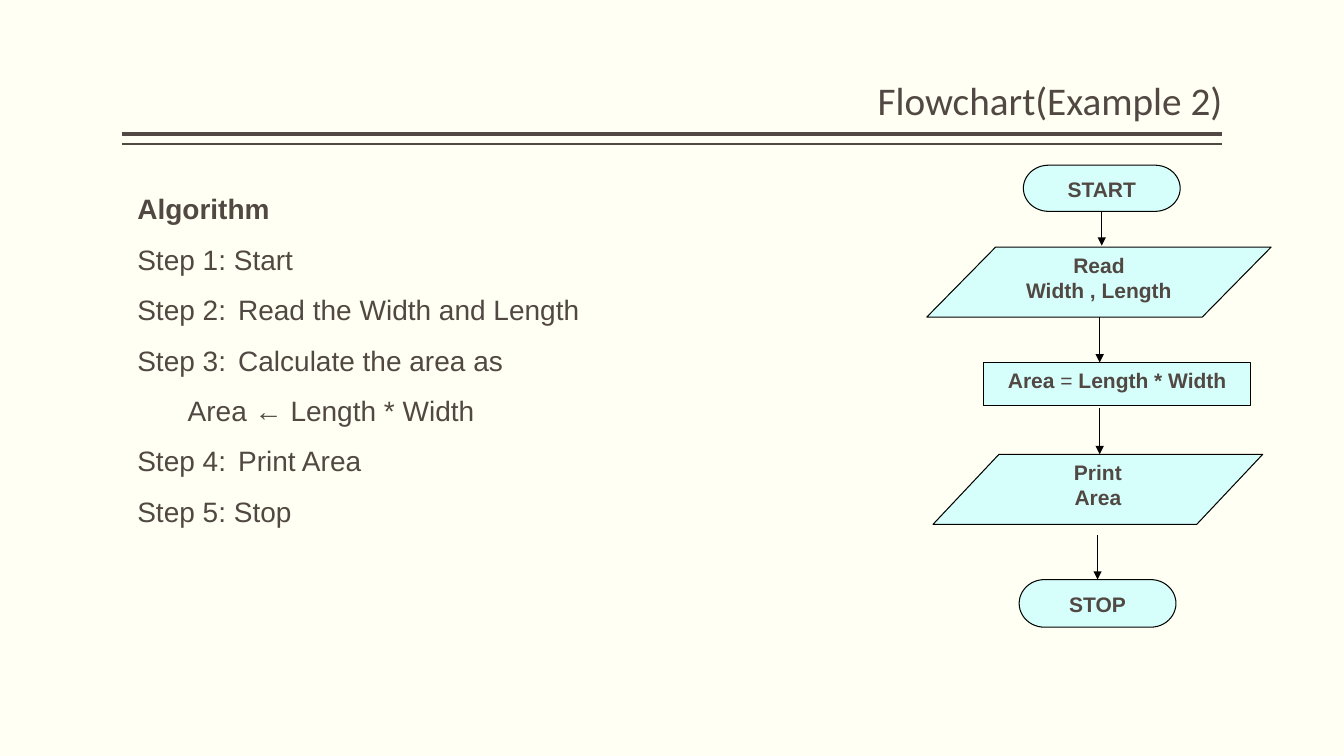
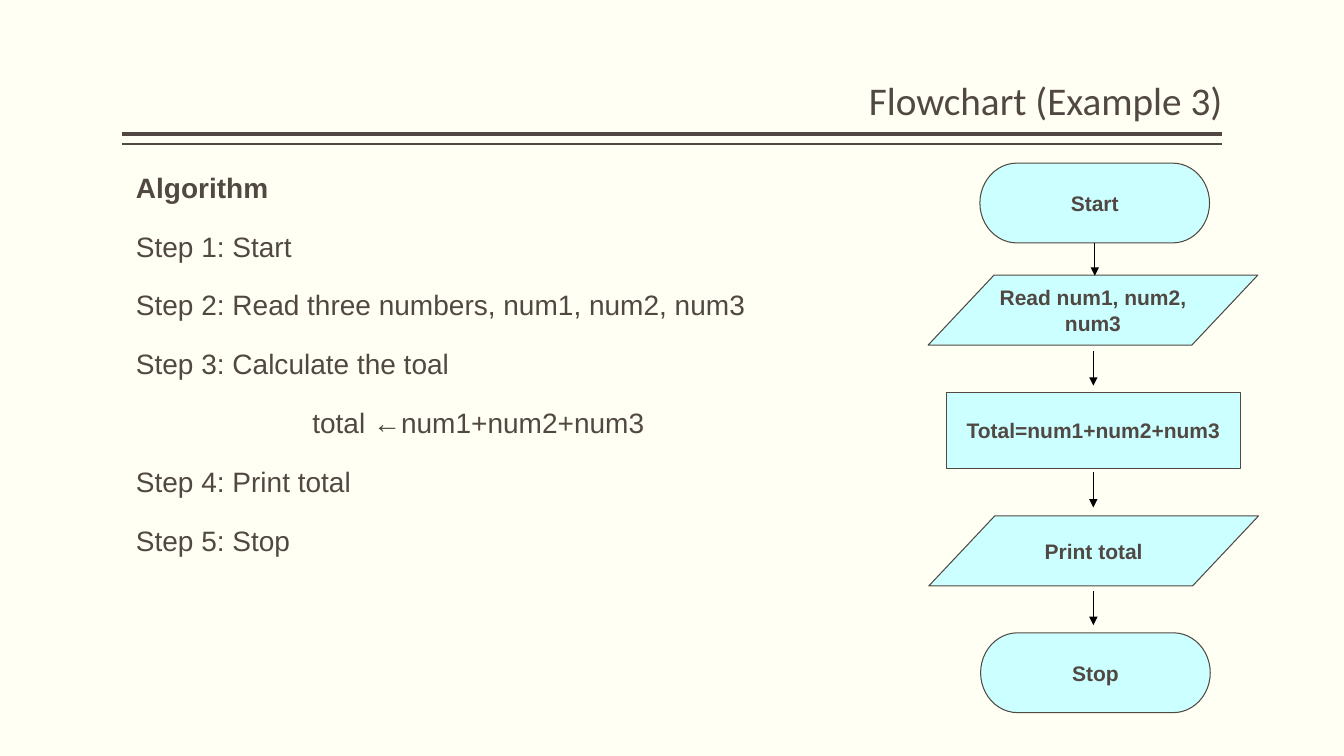
from dataclasses import dataclass
from typing import Optional

from lxml.etree import SubElement
from pptx import Presentation
from pptx.dml.color import RGBColor
from pptx.enum.shapes import MSO_CONNECTOR, MSO_SHAPE
from pptx.enum.text import MSO_ANCHOR, PP_ALIGN
from pptx.oxml.ns import qn
from pptx.util import Pt

COLORS = {"paper": "FFFFF3", "ink": "514843", "step": "CCFFFF", "black": "000000"}
BODY_FONT, TITLE_FONT = "Arial", "Calibri"
HEADER_BOX = (87, 6, 786, 86)
RULES = ((90, 3), (97, 1))

TERMINATOR = MSO_SHAPE.FLOWCHART_TERMINATOR
DATA = MSO_SHAPE.FLOWCHART_DATA
PROCESS = MSO_SHAPE.FLOWCHART_PROCESS


@dataclass
class Step:
    """A flowchart step, placed relative to the flowchart's corner."""
    preset: int
    box: tuple
    lines: tuple


@dataclass
class Arrow:
    """A downward arrow, with the steps it is joined to, if any."""
    x: float
    top: float
    bottom: float
    source: Optional[int] = None
    target: Optional[int] = None


@dataclass
class FlowStyle:
    """The look of one flowchart."""
    outline: str
    anchor: int
    wrap: bool
    opacity: int = 100


def rgb(name):
    """Return the named colour."""
    return RGBColor.from_string(COLORS[name])


def add_run(paragraph, text, size, font=BODY_FONT, bold=False):
    """Append one formatted run."""
    run = paragraph.add_run()
    run.text = text
    run.font.size = Pt(size)
    run.font.name = font
    run.font.bold = bold
    run.font.color.rgb = rgb("ink")


def next_paragraph(frame, index):
    """Return the first paragraph of a frame, or a new one."""
    return frame.add_paragraph() if index else frame.paragraphs[0]


def add_line(slide, start, end, color, weight, arrow=False):
    """Draw a straight line without shadow."""
    line = slide.shapes.add_connector(
        MSO_CONNECTOR.STRAIGHT, *(Pt(value) for value in (*start, *end)))
    line.line.color.rgb = rgb(color)
    line.line.width = Pt(weight)
    if arrow:
        SubElement(line.line._get_or_add_ln(), qn("a:tailEnd"), type="triangle")
    SubElement(line._element.spPr, qn("a:effectLst"))
    return line


def add_header(slide, title, box):
    """Place the right-aligned title and the double rule below it."""
    left, top, width, height = box
    frame = slide.shapes.add_textbox(*(Pt(value) for value in box)).text_frame
    frame.word_wrap = True
    frame.vertical_anchor = MSO_ANCHOR.BOTTOM
    frame.margin_left = frame.margin_right = 0
    paragraph = frame.paragraphs[0]
    paragraph.alignment = PP_ALIGN.RIGHT
    paragraph.line_spacing = 0.9
    add_run(paragraph, title, 28, TITLE_FONT)
    for offset, weight in RULES:
        add_line(slide, (left, top + offset), (left + width, top + offset), "ink", weight)


def add_algorithm(slide, box, steps, line_spacing=1.0, gap=0, indents=None):
    """Write the algorithm heading and its steps."""
    frame = slide.shapes.add_textbox(*(Pt(value) for value in box)).text_frame
    frame.word_wrap = True
    for index, text in enumerate(("Algorithm", *steps)):
        paragraph = next_paragraph(frame, index)
        paragraph.line_spacing = line_spacing
        if index and gap:
            paragraph.space_before = Pt(gap)
        if indents and index in indents:
            paragraph._p.get_or_add_pPr().set("marL", str(Pt(indents[index])))
        add_run(paragraph, text, 20, bold=index == 0)


def add_step(slide, origin, step, style):
    """Draw one flowchart step with its centred label."""
    left, top, width, height = step.box
    shape = slide.shapes.add_shape(
        step.preset, Pt(origin[0] + left), Pt(origin[1] + top), Pt(width), Pt(height))
    shape.shadow.inherit = False
    shape.fill.solid()
    shape.fill.fore_color.rgb = rgb("step")
    if style.opacity < 100:
        tint = shape._element.spPr.find(qn("a:solidFill")).find(qn("a:srgbClr"))
        SubElement(tint, qn("a:alpha"), val=str(style.opacity * 1000))
    shape.line.color.rgb = rgb(style.outline)
    shape.line.width = Pt(0.75)
    frame = shape.text_frame
    frame.word_wrap = style.wrap
    frame.vertical_anchor = style.anchor
    for index, runs in enumerate(step.lines):
        paragraph = next_paragraph(frame, index)
        paragraph.alignment = PP_ALIGN.CENTER
        for text, bold in runs:
            add_run(paragraph, text, 15, bold=bold)
    return shape


def add_flowchart(slide, origin, steps, arrows, style):
    """Draw the steps from top to bottom and the arrows between them."""
    left, top = origin
    shapes = [add_step(slide, origin, step, style) for step in steps]
    for arrow in arrows:
        line = add_line(slide, (left + arrow.x, top + arrow.top),
                        (left + arrow.x, top + arrow.bottom), "black", 0.75, arrow=True)
        if arrow.source is not None:
            line.begin_connect(shapes[arrow.source], 2)
        if arrow.target is not None:
            line.end_connect(shapes[arrow.target], 0)


def bold_lines(*texts):
    """Return label lines of one bold run each."""
    return tuple(((text, True),) for text in texts)


def new_slide(deck, title):
    """Add a slide with the shared background and header."""
    slide = deck.slides.add_slide(deck.slide_layouts[6])
    slide.background.fill.solid()
    slide.background.fill.fore_color.rgb = rgb("paper")
    add_header(slide, title, HEADER_BOX)
    return slide


def add_area_slide(deck):
    """Build the example that computes an area."""
    slide = new_slide(deck, "Flowchart(Example 2)")
    steps = (
        Step(TERMINATOR, (69, 0, 112, 33), bold_lines("START")),
        Step(DATA, (0, 58.5, 246, 50), bold_lines("Read", "Width , Length")),
        Step(PROCESS, (40.5, 141, 191, 30.5),
             ((("Area ", True), ("=", False), (" Length * Width", True)),)),
        Step(DATA, (4.5, 206.5, 235.5, 50), bold_lines("Print", "Area")),
        Step(TERMINATOR, (66, 296, 112, 34), bold_lines("STOP")),
    )
    arrows = (
        Arrow(125, 33, 57.5, source=0),
        Arrow(123.5, 108.5, 141),
        Arrow(123.5, 173.5, 206.5),
        Arrow(122, 264.5, 296, target=4),
    )
    add_flowchart(slide, (662, 118), steps, arrows,
                  FlowStyle("black", MSO_ANCHOR.TOP, True, opacity=80))
    add_algorithm(slide, (91, 121.5, 480, 262), (
        "Step 1: Start",
        "Step 2:\tRead the Width and Length",
        "Step 3:\tCalculate the area as",
        "\tArea ← Length * Width",
        "Step 4:\tPrint Area",
        "Step 5: Stop",
    ), line_spacing=1.5)


def add_total_slide(deck):
    """Build the example that adds three numbers."""
    slide = new_slide(deck, "Flowchart (Example 3)")
    steps = (
        Step(TERMINATOR, (37, 0, 164, 57), bold_lines("Start")),
        Step(DATA, (0, 80, 235.5, 50), bold_lines("Read num1, num2,", "num3")),
        Step(PROCESS, (13, 164, 210, 54), bold_lines("Total=num1+num2+num3")),
        Step(DATA, (0.5, 252, 235.5, 50), bold_lines("Print total")),
        Step(TERMINATOR, (37.5, 335.5, 164, 57), bold_lines("Stop")),
    )
    arrows = (
        Arrow(119, 57, 80.5, source=0),
        Arrow(118, 134.5, 159),
        Arrow(118, 221, 246),
        Arrow(118, 305.5, 330),
    )
    add_flowchart(slide, (663, 116.5), steps, arrows,
                  FlowStyle("ink", MSO_ANCHOR.MIDDLE, False))
    add_algorithm(slide, (90, 118, 480, 286), (
        "Step 1: Start",
        "Step 2: Read three numbers, num1, num2, num3",
        "Step 3: Calculate the toal",
        "total ←num1+num2+num3",
        "Step 4: Print total",
        "Step 5: Stop",
    ), gap=18, indents={4: 126})


def main():
    """Build and save the deck."""
    deck = Presentation()
    deck.slide_width, deck.slide_height = Pt(960), Pt(540)
    add_area_slide(deck)
    add_total_slide(deck)
    deck.save("out.pptx")


if __name__ == "__main__":
    main()
